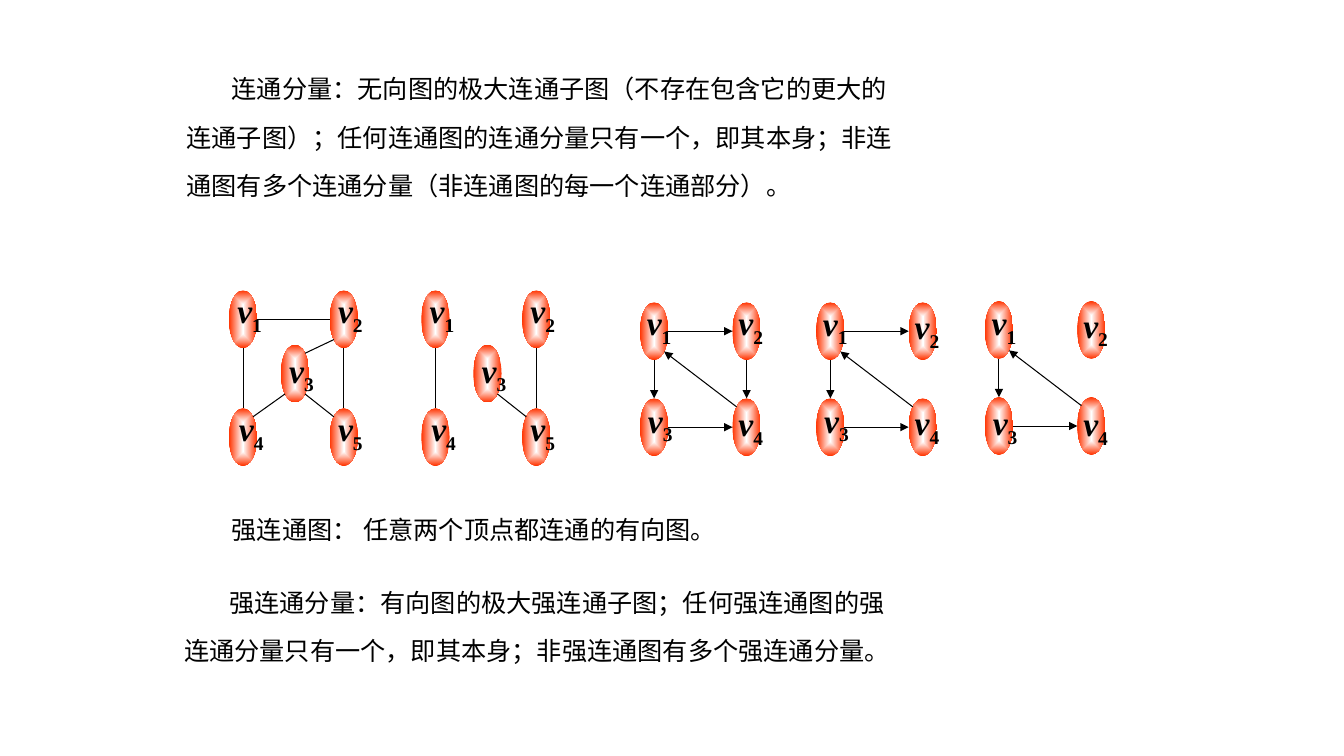
from pptx import Presentation
from pptx.dml.color import RGBColor
from pptx.enum.shapes import MSO_CONNECTOR, MSO_SHAPE
from pptx.enum.text import MSO_AUTO_SIZE
from pptx.oxml.ns import qn
from pptx.util import Cm, Pt
from lxml import etree

OVAL = MSO_SHAPE.OVAL
LINE = MSO_CONNECTOR.STRAIGHT
GROW = MSO_AUTO_SIZE.SHAPE_TO_FIT_TEXT
INK = {"black": "000000", "white": "FFFFFF", "red": "FF3300"}
SC, JP, ROMAN = "Noto Sans CJK SC", "Noto Sans CJK JP", "Times New Roman"
WIDE, TALL = 0.71, 1.45
DIAG = 0.5 ** 0.5

MESH = [(0, 0), (2.54, 0), (1.31, 1.37), (0, 2.97), (2.54, 2.97)]
SQUARE = [(0, 0), (2.33, 0), (0, 2.42), (2.33, 2.42)]
MESH_DX = [-0.04, -0.04, -0.04, 0, -0.04]
MESH_DY = [-0.13, -0.13, 0, -0.13, -0.13]
SQUARE_DX = [-0.08, -0.1, -0.05, -0.1]

GRAPHS = [
    (5.77, 7.32, MESH, MESH_DX, MESH_DY, "12 14 34 23 25 35", False),
    (10.62, 7.32, MESH, MESH_DX, MESH_DY, "14 25 35", False),
    (16.13, 7.62, SQUARE, SQUARE_DX, [-0.13, -0.13, -0.1, 0],
     "12 13 34 41 24", True),
    (20.57, 7.62, SQUARE, SQUARE_DX, [-0.12, -0.03, -0.1, -0.03],
     "12 13 34 41", True),
    (24.82, 7.59, SQUARE, SQUARE_DX, [-0.1, -0.03, 0, 0.03],
     "13 34 41", True),
]

NOTES = [
    (4.45, 1.27, 18.72, 3.81, 1.6, [
        [("连通分量：无向图的极大连通子图（", SC), ("不存在包含它的更大的", JP)],
        [("连通子图", JP), ("）；任何连通图的连通分量只有一个，即其本身；非连", SC)],
        [("通图有多个连通分量（非连通图的每一个连通部分）。", SC)]]),
    (4.45, 12.83, 14.43, 1.02, 1.0, [
        [("强连通图： 任意两个顶点都连通的有向图。", SC)]]),
    (4.39, 14.22, 18.75, 2.59, 1.6, [
        [("强连通分量：有向图的极大强连通子图；任何强连通图的强", SC)],
        [("连通分量只有一个，即其本身；非强连通图有多个强连通分量。", SC)]]),
]


def site(spot, goal):
    """Return the point of the oval at spot that faces the oval at goal."""
    signs = [(b > a) - (b < a) for a, b in zip(spot, goal)]
    reach = DIAG if all(signs) else 1
    return [a + size / 2 * (1 + sign * reach)
            for a, size, sign in zip(spot, (WIDE, TALL), signs)]


class Board:
    """Draw notes and graphs on one slide in a shared style."""

    def __init__(self, slide):
        self.slide = slide
        self.ink = {name: RGBColor.from_string(code) for name, code in INK.items()}

    def box(self, home, x, y, w, h):
        """Add an empty text box and return its frame."""
        frame = home.add_textbox(Cm(x), Cm(y), Cm(w), Cm(h)).text_frame
        frame.word_wrap = False
        frame.auto_size = GROW
        return frame

    def run(self, para, text, face, size):
        """Add one styled run to a paragraph."""
        run = para.add_run()
        run.text = text
        run.font.name = face
        run.font.size = Pt(size)
        run.font.color.rgb = self.ink["black"]
        etree.SubElement(run.font._element, qn("a:ea")).set("typeface", face)
        return run

    def note(self, x, y, w, h, gap, rows):
        """Add a block of text whose first line is indented."""
        frame = self.box(self.slide.shapes, x, y, w, h)
        for num, row in enumerate(rows):
            para = frame.add_paragraph() if num else frame.paragraphs[0]
            para.line_spacing = gap
            if num == 0:
                para._p.get_or_add_pPr().set("indent", str(Cm(1.14)))
            for text, face in row:
                self.run(para, text, face, 18)

    def node(self, home, x, y):
        """Add a vertex oval with a glow from its centre."""
        oval = home.add_shape(OVAL, Cm(x), Cm(y), Cm(WIDE), Cm(TALL))
        oval.shadow.inherit = False
        oval.line.fill.background()
        oval.fill.gradient()
        for stop, name in zip(oval.fill.gradient_stops, ("white", "red")):
            stop.color.rgb = self.ink[name]
        grad = oval._element.spPr.find(qn("a:gradFill"))
        glow = etree.Element(qn("a:path"), {"path": "shape"})
        etree.SubElement(glow, qn("a:fillToRect"), dict.fromkeys("ltrb", "50000"))
        grad.replace(grad.find(qn("a:lin")), glow)

    def label(self, home, x, y, num):
        """Add a vertex name with its number below the line."""
        para = self.box(home, x, y, 1.32, 1.27).paragraphs[0]
        name = self.run(para, "v", ROMAN, 24)
        name.font.bold = name.font.italic = True
        sub = self.run(para, str(num), ROMAN, 24)
        sub.font.bold = True
        sub.font._element.set("baseline", "-25000")

    def edge(self, home, start, end, arrow):
        """Join two vertices, with an arrowhead if directed."""
        ends = site(start, end) + site(end, start)
        edge = home.add_connector(LINE, *[Cm(num) for num in ends])
        edge.line.width = Pt(0.75)
        edge.line.color.rgb = self.ink["black"]
        props = edge._element.spPr
        if arrow:
            etree.SubElement(props.find(qn("a:ln")), qn("a:tailEnd"), type="triangle")
        etree.SubElement(props, qn("a:effectLst"))

    def graph(self, x, y, plan, shift, lift, links, arrow):
        """Add a group of vertices, names and edges."""
        home = self.slide.shapes.add_group_shape().shapes
        spots = [(x + dx, y + dy) for dx, dy in plan]
        for num, (left, top) in enumerate(spots):
            self.node(home, left, top)
            self.label(home, left + shift[num], top + lift[num], num + 1)
        for pair in links.split():
            start, end = (spots[int(num) - 1] for num in pair)
            self.edge(home, start, end, arrow)


def main():
    """Build and save the slide."""
    deck = Presentation()
    deck.slide_width, deck.slide_height = Cm(33.87), Cm(19.05)
    board = Board(deck.slides.add_slide(deck.slide_layouts[6]))
    for note in NOTES:
        board.note(*note)
    for graph in GRAPHS:
        board.graph(*graph)
    deck.save("out.pptx")


if __name__ == "__main__":
    main()
